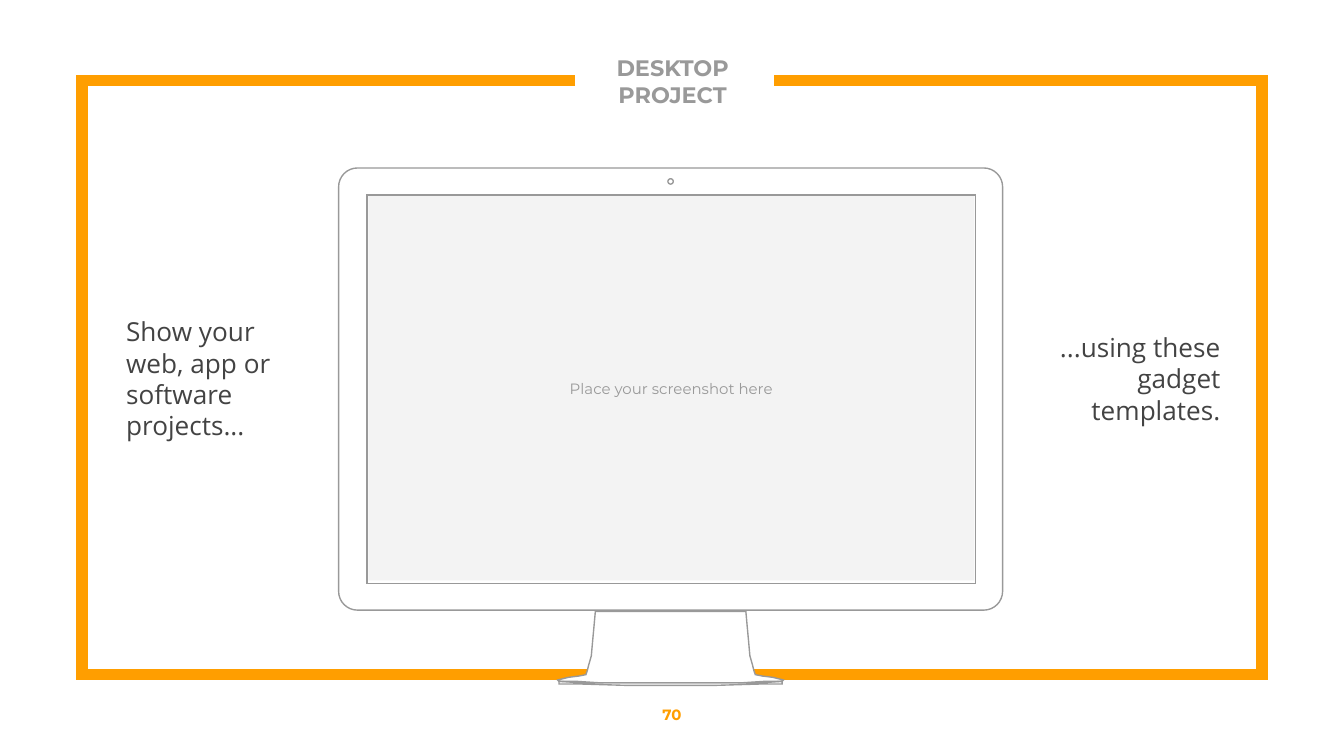
import math

from lxml import etree
from pptx import Presentation
from pptx.dml.color import RGBColor
from pptx.enum.shapes import MSO_SHAPE
from pptx.enum.text import MSO_ANCHOR, PP_ALIGN
from pptx.oxml.ns import qn
from pptx.util import Inches, Pt

ORANGE = RGBColor(0xFF, 0x9E, 0x00)
GRAY = RGBColor(0x99, 0x99, 0x99)
DARK = RGBColor(0x43, 0x43, 0x43)
PALE = RGBColor(0xF3, 0xF3, 0xF3)
WHITE = RGBColor(0xFF, 0xFF, 0xFF)
LEFT, CENTER, RIGHT = PP_ALIGN.LEFT, PP_ALIGN.CENTER, PP_ALIGN.RIGHT
TOP, MIDDLE = MSO_ANCHOR.TOP, MSO_ANCHOR.MIDDLE
RECTANGLE = MSO_SHAPE.RECTANGLE
HEADING_FONT, BODY_FONT = "Montserrat", "Open Sans"

MONITOR_CENTER = 4.99
FRAME = [(4.28, 0.6), (0.61, 0.6), (0.61, 5.02), (9.39, 5.02), (9.39, 0.6), (5.76, 0.6)]
STAND_HALF = [
    (4.43, 4.55), (4.42, 4.66), (4.41, 4.77), (4.4, 4.88), (4.38, 4.95), (4.37, 4.99),
    (4.36, 5.02), (4.31, 5.03), (4.23, 5.04), (4.15, 5.06), (4.16, 5.07), (4.29, 5.07),
    (4.45, 5.08),
]
BASE_HALF = [
    (4.67, 5.08), (4.31, 5.08), (4.16, 5.07), (4.16, 5.09), (4.33, 5.09), (4.67, 5.1),
]


def arc(x, y, radius, start, sweep, steps):
    """Return points along a circular arc, with angles in degrees."""
    angles = [math.radians(start + sweep * step / steps) for step in range(steps + 1)]
    return [(x + radius * math.cos(angle), y + radius * math.sin(angle)) for angle in angles]


def rounded_rectangle(left, top, right, bottom, radius):
    """Return the outline of a rectangle with rounded corners."""
    near, far = left + radius, right - radius
    high, low = top + radius, bottom - radius
    corners = [(near, high, 180), (far, high, 270), (far, low, 0), (near, low, 90)]
    return [point for x, y, start in corners for point in arc(x, y, radius, start, 90, 8)]


def mirrored(half):
    """Complete a half outline by reflecting it across the monitor's center."""
    return half + [(2 * MONITOR_CENTER - x, y) for x, y in reversed(half)]


def add_outline(slide, contours, color, width, fill=None):
    """Draw contours as one sharp-cornered freeform, closed when it has a fill."""
    start, *_ = contours[0]
    builder = slide.shapes.build_freeform(*map(Inches, start))
    for contour in contours:
        points = [(Inches(x), Inches(y)) for x, y in contour]
        builder.move_to(*points[0])
        builder.add_line_segments(points[1:], close=fill is not None)
    shape = builder.convert_to_shape()
    shape.shadow.inherit = False
    shape.line.color.rgb = color
    shape.line.width = Pt(width)
    line = shape.element.spPr.find(qn("a:ln"))
    etree.SubElement(line, qn("a:miter"), lim="800000")
    if fill is None:
        shape.fill.background()
    else:
        shape.fill.solid()
        shape.fill.fore_color.rgb = fill


def set_text(shape, lines, font, size, color, align=CENTER, anchor=MIDDLE, bold=False, before=0):
    """Fill a shape with uniformly styled paragraphs."""
    frame = shape.text_frame
    frame.word_wrap = True
    frame.vertical_anchor = anchor
    frame.margin_left = frame.margin_right = Inches(0.1)
    frame.margin_top = frame.margin_bottom = Inches(0.1)
    frame.text = "\n".join(lines)
    for paragraph in frame.paragraphs:
        paragraph.alignment = align
        paragraph.space_before = Pt(before)
        paragraph.font.name = font
        paragraph.font.size = Pt(size)
        paragraph.font.bold = bold
        paragraph.font.color.rgb = color


def add_text(slide, box, lines, *style, **options):
    """Add a text box with styled text."""
    set_text(slide.shapes.add_textbox(*map(Inches, box)), lines, *style, **options)


def add_monitor(slide):
    """Draw the desktop monitor with its camera, screen, case and stand."""
    contours = [
        arc(MONITOR_CENTER, 1.35, 0.02, 0, 360, 16),
        [(2.73, 1.45), (7.26, 1.45), (7.26, 4.34), (2.73, 4.34)],
        rounded_rectangle(2.52, 1.25, 7.46, 4.54, 0.14),
        mirrored(STAND_HALF),
        mirrored(BASE_HALF),
    ]
    add_outline(slide, contours, GRAY, 0.75, WHITE)


def add_screenshot_area(slide):
    """Add the shaded area that holds the screenshot prompt."""
    shape = slide.shapes.add_shape(RECTANGLE, *map(Inches, (2.74, 1.46, 4.51, 2.86)))
    shape.shadow.inherit = False
    shape.fill.solid()
    shape.fill.fore_color.rgb = PALE
    shape.line.fill.background()
    set_text(shape, ["Place your screenshot here"], HEADING_FONT, 8, GRAY)


def main():
    """Build and save the slide."""
    presentation = Presentation()
    presentation.slide_width = Inches(10)
    presentation.slide_height = Inches(10 * 9 / 16)
    slide = presentation.slides.add_slide(presentation.slide_layouts[6])
    add_outline(slide, [FRAME], ORANGE, 6)
    add_monitor(slide)
    add_text(slide, (0.84, 1.42, 1.54, 2.79), ["Show your web, app or software projects..."],
             BODY_FONT, 14, DARK, align=LEFT, before=6)
    add_screenshot_area(slide)
    add_text(slide, (7.62, 1.42, 1.56, 2.79), ["...using these gadget templates."],
             BODY_FONT, 14, DARK, align=RIGHT, before=6)
    add_text(slide, (4.26, 0.3, 1.49, 0.61), ["DESKTOP", "PROJECT"],
             HEADING_FONT, 12, GRAY, anchor=TOP, bold=True)
    add_text(slide, (0, 5.02, 10, 0.6), ["70"], HEADING_FONT, 8, ORANGE, bold=True)
    presentation.save("out.pptx")


if __name__ == "__main__":
    main()
